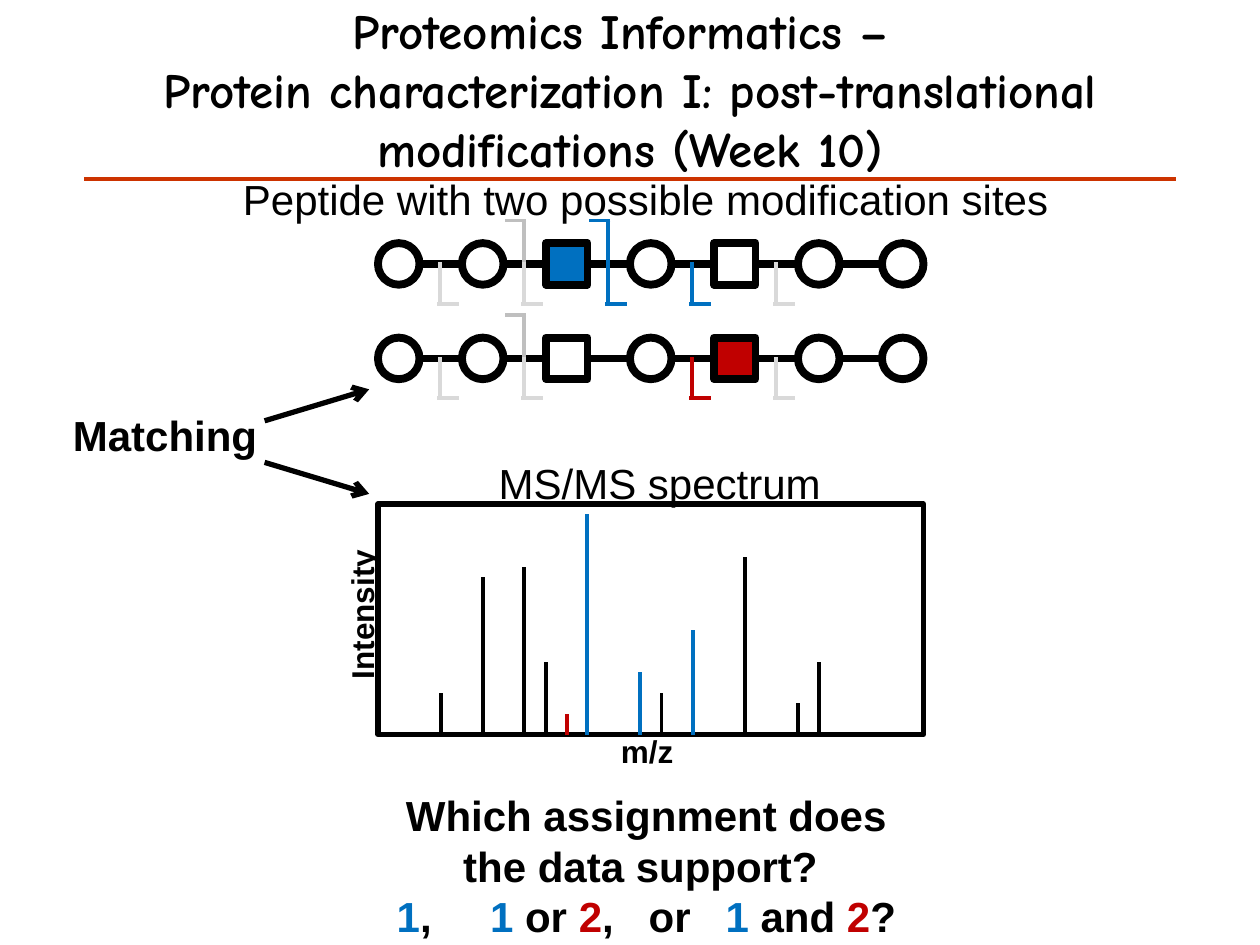
"""Build a slide that matches two peptide forms to a spectrum."""
from typing import NamedTuple

from lxml.etree import SubElement
from pptx import Presentation
from pptx.dml.color import RGBColor
from pptx.enum.shapes import MSO_CONNECTOR, MSO_SHAPE
from pptx.enum.text import MSO_ANCHOR, PP_ALIGN
from pptx.oxml.ns import qn
from pptx.util import Inches, Pt

BLACK, WHITE, BLUE, RED = "000000", "FFFFFF", "0070C0", "C00000"
PALE, GRAY = "D9D9D9", "BFBFBF"
LEFT, STEP, SIZE, COUNT = 3, 2 / 3, 0.33, 7
BASE = 5.83


class Mark(NamedTuple):
    """A cleavage mark after a given node."""
    node: int
    color: str
    up: bool = False


class Chain(NamedTuple):
    """A peptide with square sites and cleavage marks."""
    top: float
    sites: dict[int, str]
    marks: list[Mark]


class Peak(NamedTuple):
    """A spectrum peak."""
    x: float
    top: float
    color: str = BLACK


class Label(NamedTuple):
    """A single line of text."""
    text: str
    box: tuple[float, float, float, float]
    size: int = 24
    bold: bool = False
    turn: int = 0


class Piece(NamedTuple):
    """A coloured part of a line, with letter spacing in points."""
    text: str
    color: str = BLACK
    gap: float = 0


CHAINS = [
    Chain(1.93, {2: BLUE, 4: WHITE}, [
        Mark(1, GRAY, True), Mark(2, BLUE, True), Mark(0, PALE), Mark(1, PALE),
        Mark(2, BLUE), Mark(3, BLUE), Mark(4, PALE)]),
    Chain(2.68, {2: WHITE, 4: RED}, [
        Mark(1, GRAY, True), Mark(0, PALE), Mark(1, PALE), Mark(3, RED),
        Mark(4, PALE)]),
]
PEAKS = [
    Peak(3.5, 5.5), Peak(3.83, 4.58), Peak(4.16, 4.5), Peak(4.33, 5.25),
    Peak(4.5, 5.67, RED), Peak(4.66, 4.08, BLUE), Peak(5.08, 5.33, BLUE),
    Peak(5.25, 5.5), Peak(5.5, 5, BLUE), Peak(5.91, 4.42), Peak(6.33, 5.58),
    Peak(6.5, 5.25),
]
LABELS = [
    Label("Peptide with two possible modification sites", (1.83, 1.33, 6.66, 0.5)),
    Label("MS/MS spectrum", (3.86, 3.58, 2.78, 0.5)),
    Label("m/z", (4.83, 5.76, 0.62, 0.4), 18, True),
    Label("Intensity", (2.25, 4.67, 1.24, 0.4), 18, True, 270),
    Label("Matching", (0.48, 3.2, 1.68, 0.5), 24, True),
]
WIDE, SMALL = Piece(" ", gap=26.7), Piece(" ", gap=13.3)
CHOICE = [
    Piece("1", BLUE), Piece(","), WIDE, Piece("1 ", BLUE), Piece("or "),
    Piece("2", RED), Piece(","), SMALL, Piece("or"), SMALL, Piece("1 ", BLUE),
    Piece("and "), Piece("2", RED), Piece("?"),
]


def paint(part, color: str) -> None:
    """Set a solid colour on a fill."""
    part.solid()
    part.fore_color.rgb = RGBColor.from_string(color)


def style(run, size: int, bold: bool, color: str = BLACK, face: str = "Arial") -> None:
    """Format one run."""
    run.font.name, run.font.size, run.font.bold = face, Pt(size), bold
    paint(run.font.fill, color)


def draw_line(shapes, start: tuple[float, float], end: tuple[float, float],
              color: str, width: float, arrow: bool = False) -> None:
    """Draw a straight line, with an arrowhead on request."""
    line = shapes.add_connector(MSO_CONNECTOR.STRAIGHT, *map(Inches, start + end))
    paint(line.line.fill, color)
    line.line.width = Pt(width)
    if arrow:
        SubElement(line.line._get_or_add_ln(), qn("a:tailEnd"), type="arrow")
    SubElement(line._element.spPr, qn("a:effectLst"))


def draw_shape(shapes, kind: MSO_SHAPE, box: tuple[float, float, float, float],
               fill: str, width: float) -> None:
    """Draw a filled shape with a black outline."""
    shape = shapes.add_shape(kind, *map(Inches, box))
    shape.shadow.inherit = False
    paint(shape.fill, fill)
    paint(shape.line.fill, BLACK)
    shape.line.width = Pt(width)


def draw_mark(shapes, mark: Mark, top: float) -> None:
    """Draw a stem with a tick to the left above or to the right below."""
    x, mid = 3.49 + mark.node * STEP, top + 0.15
    side = -1 if mark.up else 1
    end = mid + side * 0.33
    draw_line(shapes, (x, end), (x, mid), mark.color, 2.25)
    draw_line(shapes, (x - side * 0.02, end), (x + side * 0.15, end), mark.color, 2.25)


def draw_chain(shapes, chain: Chain) -> None:
    """Draw the nodes and links of a peptide."""
    mid = chain.top + SIZE / 2
    for node in range(COUNT):
        x = LEFT + node * STEP
        kind = MSO_SHAPE.RECTANGLE if node in chain.sites else MSO_SHAPE.OVAL
        if node:
            draw_line(shapes, (x - STEP + SIZE, mid), (x, mid), BLACK, 4.5)
        draw_shape(shapes, kind, (x, chain.top, SIZE, SIZE),
                   chain.sites.get(node, WHITE), 4.5)


def draw_label(shapes, label: Label) -> None:
    """Draw a text label."""
    box = shapes.add_textbox(*map(Inches, label.box))
    box.rotation = label.turn
    box.text_frame.word_wrap = False
    box.text_frame.text = label.text
    style(box.text_frame.paragraphs[0].runs[0], label.size, label.bold)


def draw_title(shapes) -> None:
    """Draw the heading and its rule."""
    frame = shapes.add_textbox(0, Inches(0.33), Inches(10), Inches(0.75)).text_frame
    frame.word_wrap = True
    frame.margin_left = frame.margin_right = Inches(0.5)
    frame.vertical_anchor = MSO_ANCHOR.MIDDLE
    frame.text = ("Proteomics Informatics – \nProtein characterization I: "
                  "post-translational modifications (Week 10)")
    for para in frame.paragraphs:
        para.alignment = PP_ALIGN.CENTER
        style(para.runs[0], 28, True, face="Comic Neue")
    draw_line(shapes, (0.67, 1.42), (9.33, 1.42), "CC3300", 2.5)


def draw_query(shapes) -> None:
    """Draw the closing question and its choices."""
    frame = shapes.add_textbox(*map(Inches, (3.03, 6.22, 4.2, 1.31))).text_frame
    frame.word_wrap = True
    frame.text = "Which assignment does\nthe data support? "
    for para in frame.paragraphs:
        style(para.runs[0], 24, True)
    last = frame.add_paragraph()
    for piece in CHOICE:
        run = last.add_run()
        run.text = piece.text
        style(run, 24, True, piece.color)
        if piece.gap:
            run._r.get_or_add_rPr().set("spc", str(round(piece.gap * 100)))
    for para in frame.paragraphs:
        para.alignment = PP_ALIGN.CENTER


def main() -> None:
    """Build and save the slide."""
    deck = Presentation()
    deck.slide_width, deck.slide_height = Inches(10), Inches(7.5)
    shapes = deck.slides.add_slide(deck.slide_layouts[6]).shapes
    draw_title(shapes)
    for chain in CHAINS:
        draw_chain(shapes, chain)
    draw_shape(shapes, MSO_SHAPE.RECTANGLE, (LEFT, 4, 4.33, 1.83), WHITE, 3)
    for peak in PEAKS:
        draw_line(shapes, (peak.x, BASE), (peak.x, peak.top), peak.color, 2.25)
    for label in LABELS:
        draw_label(shapes, label)
    for chain in CHAINS:
        for mark in chain.marks:
            draw_mark(shapes, mark, chain.top)
    for start, end in ((3.34, 3.09), (3.67, 3.92)):
        draw_line(shapes, (2.1, start), (2.93, end), BLACK, 3, True)
    draw_query(shapes)
    deck.save("out.pptx")


if __name__ == "__main__":
    main()
